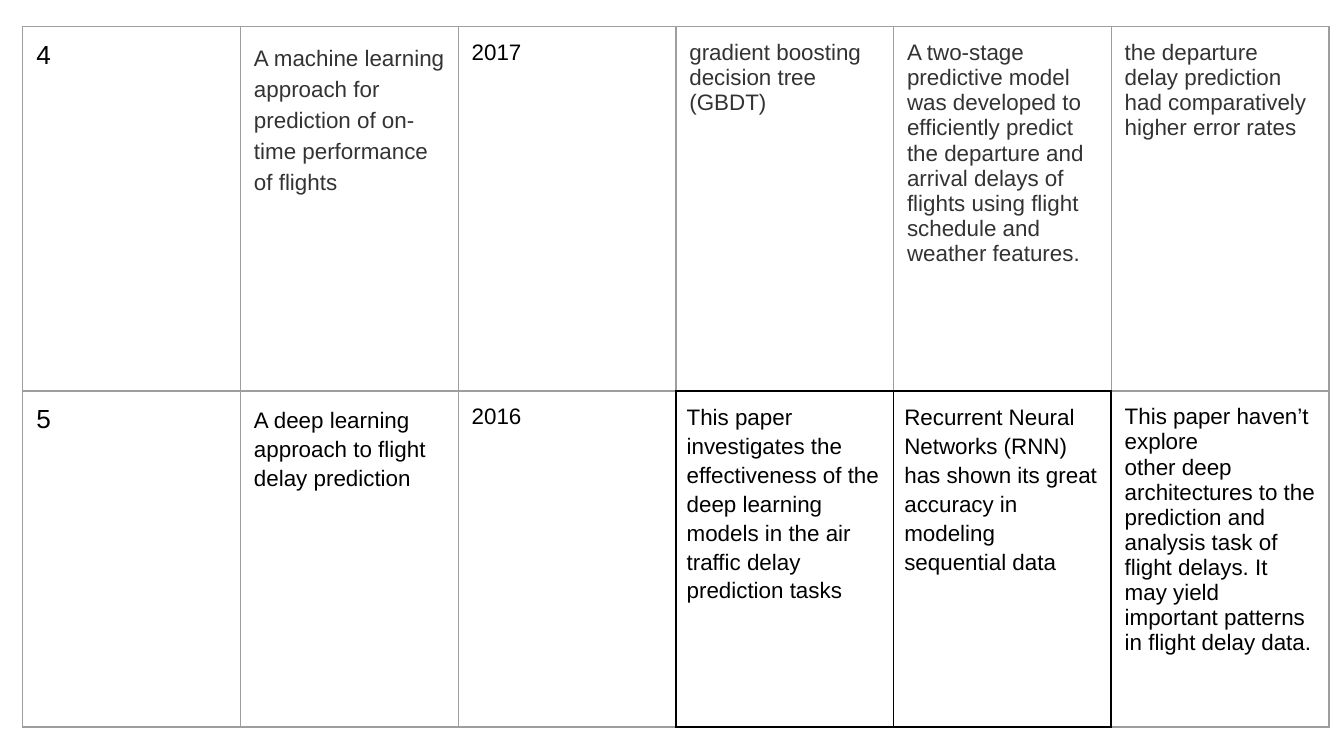
from dataclasses import dataclass

from lxml.etree import SubElement
from pptx import Presentation
from pptx.dml.color import RGBColor
from pptx.oxml.ns import qn
from pptx.util import Inches, Pt

BLACK, DARK, GRAY = "000000", "333333", "9E9E9E"
THIN, THICK = (GRAY, 0.75), (BLACK, 1)


@dataclass
class Entry:
    text: str
    color: str = BLACK
    size: int = 12
    spacing: float = 0
    before: int = 0
    margin: float = 0.1
    thick: str = ""  # sides with a black border


PAPERS = [
    [
        Entry("4", size=14),
        Entry("A machine learning approach for prediction of on-time "
              "performance of flights", DARK, spacing=1.24, before=24),
        Entry("2017"),
        Entry("gradient boosting decision tree (GBDT) ", DARK, thick="B"),
        Entry("A two-stage predictive model was developed to efficiently "
              "predict the departure and arrival delays of flights using "
              "flight schedule and weather features.", DARK, thick="B"),
        Entry("the departure delay prediction had comparatively higher "
              "error rates ", DARK),
    ],
    [
        Entry("5", size=14),
        Entry("A deep learning approach to flight delay prediction",
              spacing=1.15, before=12),
        Entry("2016", thick="R"),
        Entry("This paper investigates the effectiveness of the deep "
              "learning models in the air traffic delay prediction tasks",
              spacing=1.15, before=12, margin=0.08, thick="LRTB"),
        Entry("Recurrent Neural Networks (RNN) has shown its great accuracy "
              "in modeling sequential data",
              spacing=1.15, before=12, margin=0.08, thick="LRTB"),
        Entry("This paper haven\u2019t explore\t other deep architectures to "
              "the prediction and analysis task of flight delays. It may "
              "yield important patterns in flight delay data.", thick="L"),
    ],
]


def rgb(value):
    return RGBColor.from_string(value)


def set_borders(cell, thick):
    props = cell._tc.get_or_add_tcPr()
    for index, side in enumerate("LRTB"):
        color, width = THICK if side in thick else THIN
        line = SubElement(props, qn(f"a:ln{side}"), w=str(Pt(width)))
        fill = SubElement(line, qn("a:solidFill"))
        SubElement(fill, qn("a:srgbClr"), val=color)
        # Borders come before the cell fill
        props.insert(index, line)


def fill_cell(cell, entry):
    cell.fill.background()
    cell.margin_left = cell.margin_right = Inches(entry.margin)
    cell.margin_top = cell.margin_bottom = Inches(entry.margin)
    set_borders(cell, entry.thick)

    para = cell.text_frame.paragraphs[0]
    if entry.spacing:
        para.line_spacing = entry.spacing
        para.space_before = Pt(entry.before)
    span = para.add_run()
    span.text = entry.text
    span.font.name = "Arial"
    span.font.size = Pt(entry.size)
    span.font.color.rgb = rgb(entry.color)


def add_paper_table(page, left, top, width, heights):
    frame = page.shapes.add_table(
        len(PAPERS), len(PAPERS[0]), Inches(left), Inches(top),
        Inches(width), Inches(sum(heights)))
    table = frame.table
    table.first_row = table.horz_banding = False
    for row, height in zip(table.rows, heights):
        row.height = Inches(height)
    for row, paper in zip(table.rows, PAPERS):
        for cell, entry in zip(row.cells, paper):
            fill_cell(cell, entry)


# Widescreen page, 16 to 9
deck = Presentation()
deck.slide_width = Inches(10)
deck.slide_height = Inches(10 * 9 / 16)
page = deck.slides.add_slide(deck.slide_layouts[6])

# Literature survey table
add_paper_table(page, 0.17, 0.2, 9.72, [2.71, 2.5])

deck.save("out.pptx")
